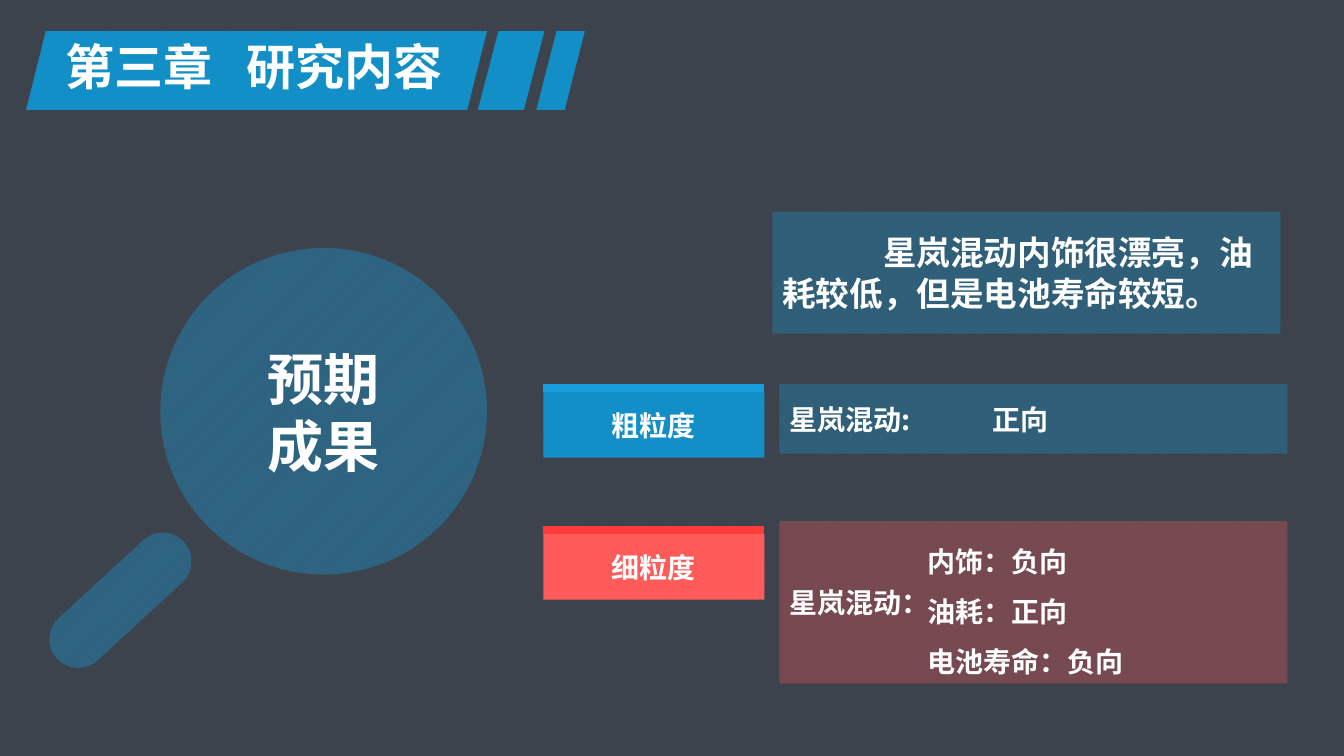
from lxml.etree import SubElement
from pptx import Presentation
from pptx.dml.color import RGBColor
from pptx.enum.dml import MSO_PATTERN
from pptx.enum.shapes import MSO_CONNECTOR, MSO_SHAPE as Preset
from pptx.enum.text import MSO_ANCHOR as Anchor, PP_ALIGN as Align
from pptx.oxml.ns import qn
from pptx.util import Inches, Pt

FONT = "Noto Sans CJK SC"
WHITE = RGBColor(0xFF, 0xFF, 0xFF)
NAVY = RGBColor(0x22, 0x2A, 0x35)
BLUE = RGBColor(0x13, 0x8F, 0xC7)
BRIGHT_BLUE = RGBColor(0x15, 0x9F, 0xDD)
RED = RGBColor(0xFF, 0x5B, 0x59)
BRIGHT_RED = RGBColor(0xFF, 0x3C, 0x37)
STRIPE = RGBColor(0xBF, 0xBF, 0xBF)
PALE = RGBColor(0xDD, 0xDC, 0xE2)

TITLE = "第三章\t研究内容"
BANNER = [(0.26, 4.57, 0.25), (4.74, 0.66, 0.308), (5.32, 0.48, 0.415)]
LENS = "预期\n成果"
SENTENCE = "星岚混动内饰很漂亮，油耗较低，但是电池寿命较短。"
LEVELS = [
    ("粗粒度", 3.85, BLUE, BRIGHT_BLUE),
    ("细粒度", 5.26, RED, BRIGHT_RED),
]
RESULTS = [
    (SENTENCE, 7.66, 2.1, 1.21, BRIGHT_BLUE, 24),
    ("星岚混动:\t正向", 7.73, 3.81, 0.69, BRIGHT_BLUE, 20),
    ("星岚混动：", 7.73, 5.17, 1.61, RED, 20),
]
ASPECTS = ["内饰：负向", "油耗：正向", "电池寿命：负向"]


def add_block(slide, preset, box, color, alpha=100):
    """Add a borderless filled shape with an opacity in percent."""
    block = slide.shapes.add_shape(preset, *map(Inches, box))
    block.shadow.inherit = False
    block.line.fill.background()
    block.fill.solid()
    block.fill.fore_color.rgb = color
    if alpha < 100:
        tint = block.fill._xPr.find(qn("a:solidFill"))[0]
        SubElement(tint, qn("a:alpha"), val=str(alpha * 1000))
    return block


def write(shape, text, size, align=Align.LEFT, anchor=Anchor.MIDDLE, tab=None, indent=0):
    """Set bold white text with an optional tab stop and first-line indent."""
    frame = shape.text_frame
    frame.word_wrap = True
    frame.vertical_anchor = anchor
    frame.text = text
    for paragraph in frame.paragraphs:
        paragraph.alignment = align
        properties = paragraph._p.get_or_add_pPr()
        if indent:
            properties.set("marL", "0")
            properties.set("indent", str(Inches(indent)))
        if tab:
            stops = SubElement(properties, qn("a:tabLst"))
            SubElement(stops, qn("a:tab"), pos=str(Inches(tab)), algn="l")
        for run in paragraph.runs:
            run.font.size = Pt(size)
            run.font.bold = True
            run.font.color.rgb = WHITE
            run.font.name = FONT
            SubElement(run.font._element, qn("a:ea"), typeface=FONT)


def add_header(slide):
    """Draw the slanted banner and place the title on it."""
    for left, width, slant in BANNER:
        bar = add_block(slide, Preset.PARALLELOGRAM, (left, 0.31, width, 0.78), BLUE)
        bar.adjustments[0] = slant
    title = slide.shapes.title
    title.left, title.top, title.width, title.height = map(Inches, (0.55, 0.31, 4.07, 0.69))
    write(title, TITLE, 35, anchor=Anchor.TOP, tab=1.79)
    slide.shapes._spTree.append(title._element)


def add_levels(slide):
    """Draw the granularity labels with their top edges."""
    left, width = 5.39, 2.19
    for name, top, color, edge_color in LEVELS:
        label = add_block(slide, Preset.RECTANGLE, (left, top + 0.04, width, 0.65), color)
        write(label, name, 20, Align.CENTER)
        edge = slide.shapes.add_connector(
            MSO_CONNECTOR.STRAIGHT, *map(Inches, (left, top, left + width, top)))
        edge.line.color.rgb = edge_color
        edge.line.width = Pt(6)
        SubElement(edge._element.spPr, qn("a:effectLst"))


def add_results(slide):
    """Draw the example sentence and the sentiment results."""
    for text, left, top, height, color, size in RESULTS:
        panel = add_block(slide, Preset.RECTANGLE, (left, top, 5.04, height), color, 30)
        write(panel, text, size, tab=2.02 if "\t" in text else None,
              indent=1 if text == SENTENCE else 0)
    for row, aspect in enumerate(ASPECTS):
        box = slide.shapes.add_textbox(
            *map(Inches, (9.1, 5.35 + row * 0.495, 2.16, 0.44)))
        write(box, aspect, 20, anchor=Anchor.TOP)


def add_magnifier(slide):
    """Draw the magnifier from a lens and a tilted handle."""
    lens = add_block(slide, Preset.OVAL, (1.59, 2.46, 3.24, 3.24), BRIGHT_BLUE, 36)
    write(lens, LENS, 40, Align.CENTER)
    handle = add_block(slide, Preset.ROUNDED_RECTANGLE, (0.34, 5.67, 1.71, 0.57), BRIGHT_BLUE, 36)
    handle.adjustments[0] = 0.5
    handle.rotation = 317.4


def main():
    """Build the slide and save it."""
    deck = Presentation()
    deck.slide_width, deck.slide_height = Inches(13.33), Inches(7.5)
    slide = deck.slides.add_slide(deck.slide_layouts[5])
    backdrop = slide.background.fill
    backdrop.patterned()
    backdrop.pattern = MSO_PATTERN.LIGHT_UPWARD_DIAGONAL
    backdrop.fore_color.rgb = STRIPE
    backdrop.back_color.rgb = PALE
    add_block(slide, Preset.RECTANGLE, (0, 0, 13.33, 7.5), NAVY, 85)
    add_header(slide)
    add_levels(slide)
    add_results(slide)
    add_magnifier(slide)
    deck.save("out.pptx")


if __name__ == "__main__":
    main()
